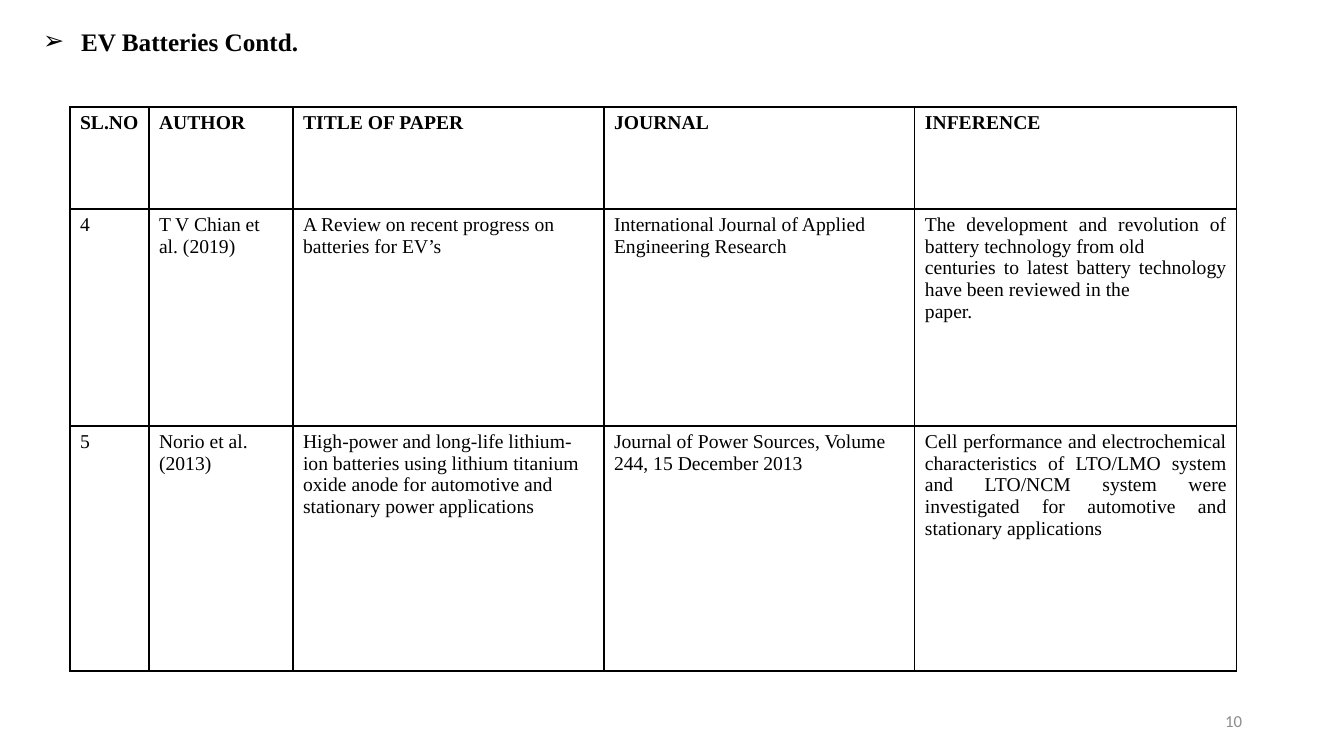
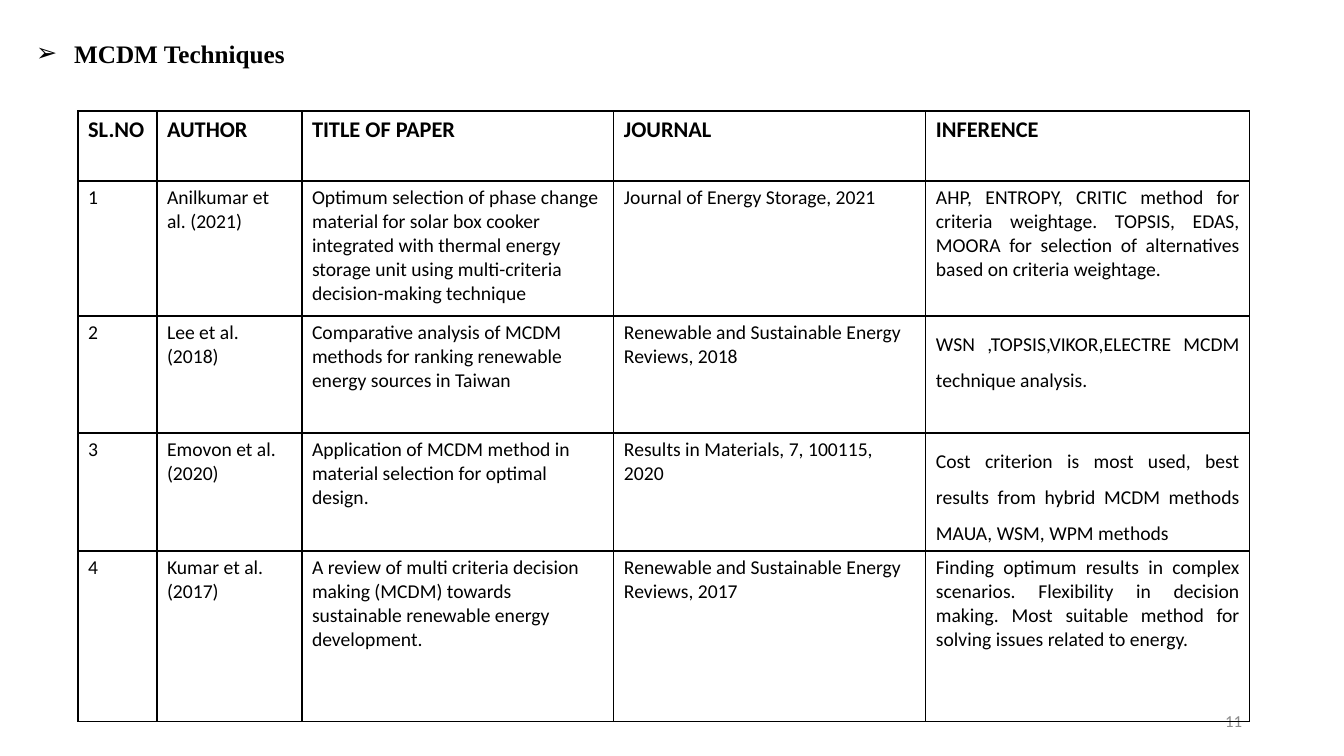
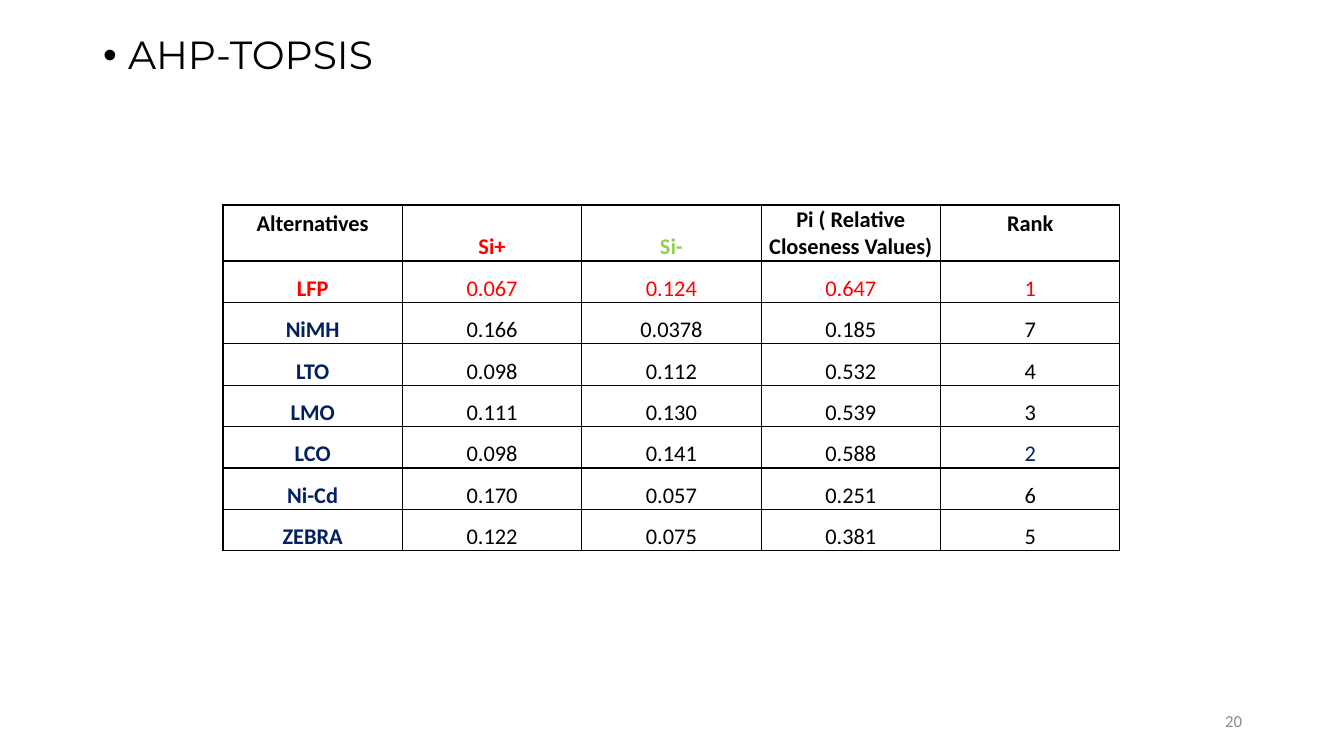
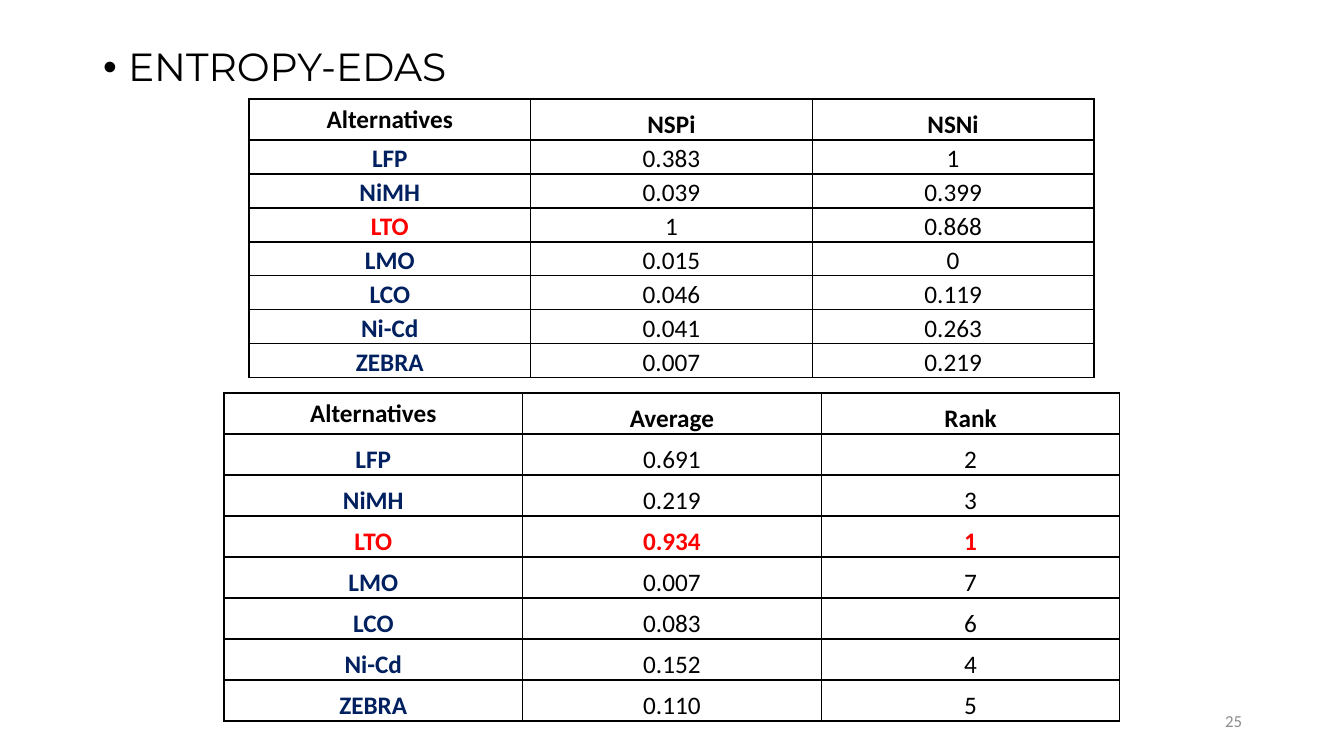
import pptx
import pptx.util
import pptx.dml.color
import pptx.enum.text
import pptx.oxml
import pptx.oxml.ns
import lxml.etree

EMU_PER_PX = 914400 / 100.8
TITLE_ONLY = 5
SERIF, SANS, DISPLAY = "Times New Roman", "Calibri", "Montserrat"
BLACK, GREY, NAVY, RED, GREEN = "000000", "8C8C8C", "002060", "FF0000", "92D050"
ALIGN = pptx.enum.text.PP_ALIGN
ANCHOR = pptx.enum.text.MSO_ANCHOR
PAPER_HEADERS = ["SL.NO", "AUTHOR", "TITLE OF PAPER", "JOURNAL", "INFERENCE"]
BATTERIES = ["LFP", "NiMH", "LTO", "LMO", "LCO", "Ni-Cd", "ZEBRA"]


def emu(px):
    return round(px * EMU_PER_PX)


def rgb(hex_color):
    return pptx.dml.color.RGBColor.from_string(hex_color)


def add_xml(parent, tag, **attributes):
    return lxml.etree.SubElement(parent, pptx.oxml.ns.qn(tag), attributes)


def write_text(frame, text, font=SANS, size=14, color=BLACK, bold=False,
               align=ALIGN.LEFT, spacing=None, bullet=None, indent=0):
    frame.word_wrap = True
    for index, line in enumerate(text.split("\n")):
        paragraph = frame.add_paragraph() if index else frame.paragraphs[0]
        paragraph.alignment = align
        if spacing:
            paragraph.line_spacing = spacing
        run = paragraph.add_run()
        run.text = line
        run.font.name = font
        run.font.size = pptx.util.Pt(size)
        run.font.bold = bold
        run.font.color.rgb = rgb(color)
        if bullet:
            properties = paragraph._p.get_or_add_pPr()
            properties.set("marL", str(emu(indent)))
            properties.set("indent", str(-emu(indent)))
            add_xml(properties, "a:buFont", typeface="Arial")
            add_xml(properties, "a:buChar", char=bullet)


def start_slide(deck, heading, box, number, **style):
    slide = deck.slides.add_slide(deck.slide_layouts[TITLE_ONLY])
    title = slide.shapes.title
    title.left, title.top, title.width, title.height = map(emu, box)
    title.text_frame.auto_size = pptx.enum.text.MSO_AUTO_SIZE.NONE
    title.text_frame.vertical_anchor = ANCHOR.TOP
    write_text(title.text_frame, heading, **style)
    footer = slide.shapes.add_textbox(*map(emu, (950, 701, 302, 40))).text_frame
    footer.vertical_anchor = ANCHOR.MIDDLE
    write_text(footer, number, size=12, color=GREY, align=ALIGN.RIGHT)
    return slide


def start_papers_slide(deck, heading, left, top, number):
    return start_slide(deck, heading, (left, top, 546, 40), number, font=SERIF,
                       size=18, bold=True, bullet="➢", indent=38)


def start_scores_slide(deck, heading, top, number):
    return start_slide(deck, heading, (93, top, 1159, 55), number, font=DISPLAY,
                       size=28, spacing=0.9, bullet="•", indent=25)


def outline_cell(cell):
    properties = cell._tc.get_or_add_tcPr()
    for side in "LRTB":
        line = add_xml(properties, "a:ln" + side, w=str(pptx.util.Pt(1)))
        fill = add_xml(line, "a:solidFill")
        add_xml(fill, "a:srgbClr", val=BLACK)
    cell.fill.background()


def add_grid(slide, left, top, widths, heights):
    frame = slide.shapes.add_table(len(heights), len(widths), emu(left), emu(top),
                                   sum(widths), sum(heights))
    grid = frame.table
    grid.first_row = grid.horz_banding = False
    for column, width in zip(grid.columns, widths):
        column.width = width
    for row, height in zip(grid.rows, heights):
        row.height = height
    for cell in grid.iter_cells():
        outline_cell(cell)
    return grid


def add_papers(slide, left, top, widths, heights, papers, font, header_size, loose_rows=()):
    grid = add_grid(slide, left, top, [emu(w) for w in widths], [emu(h) for h in heights])
    for row, entries in enumerate([PAPER_HEADERS] + papers):
        for column, entry in enumerate(entries):
            is_header = row == 0
            is_inference = column == 4 and not is_header
            write_text(grid.cell(row, column).text_frame, entry, font=font,
                       size=header_size if is_header else 14, bold=is_header,
                       align=ALIGN.JUSTIFY if is_inference else ALIGN.LEFT,
                       spacing=1.5 if is_inference and row in loose_rows else None)


def add_scores(slide, left, top, width, header_height, body_height, headers, scores,
               size, accents, padded_headers=(0,)):
    columns = len(headers) + 1
    body_rows = len(BATTERIES)
    grid = add_grid(slide, left, top, [emu(width) // columns] * columns,
                    [emu(header_height)] + [emu(body_height) // body_rows] * body_rows)
    rows = [["Alternatives"] + headers]
    rows += [[battery] + values for battery, values in zip(BATTERIES, scores)]
    for row, entries in enumerate(rows):
        for column, entry in enumerate(entries):
            cell = grid.cell(row, column)
            if row or column not in padded_headers:
                cell.vertical_anchor = ANCHOR.BOTTOM
                cell.margin_left = cell.margin_right = cell.margin_top = emu(1)
                cell.margin_bottom = 0
            style = {"bold": row == 0 or column == 0,
                     "color": NAVY if row and column == 0 else BLACK}
            style.update(accents.get((row, column), {}))
            write_text(cell.text_frame, entry, size=size, align=ALIGN.CENTER, **style)


def build_ev_batteries(deck):
    slide = start_papers_slide(deck, "EV Batteries Contd.", 33, 21, "10")
    papers = [
        ["4", "T V Chian et al. (2019)",
         "A Review on recent progress on batteries for EV’s",
         "International Journal of Applied Engineering Research",
         "The development and revolution of battery technology from old\n"
         "centuries to latest battery technology have been reviewed in the\n"
         "paper."],
        ["5", "Norio et al. (2013)",
         "High-power and long-life lithium-ion batteries using lithium titanium oxide "
         "anode for automotive and stationary power applications",
         "Journal of Power Sources, Volume 244, 15 December 2013",
         "Cell performance and electrochemical characteristics of LTO/LMO system and "
         "LTO/NCM system were investigated for automotive and stationary applications"],
    ]
    add_papers(slide, 70, 107, [79, 144, 311, 311, 322], [102, 217, 245], papers,
               font=SERIF, header_size=14)


def build_mcdm_techniques(deck):
    slide = start_papers_slide(deck, "MCDM Techniques", 26, 33, "11")
    papers = [
        ["1", "Anilkumar et al. (2021)",
         "Optimum selection of phase change material for solar box cooker integrated with "
         "thermal energy storage unit using multi-criteria decision-making technique",
         "Journal of Energy Storage, 2021",
         "AHP, ENTROPY, CRITIC method for criteria weightage. TOPSIS, EDAS, MOORA for "
         "selection of alternatives based on criteria weightage."],
        ["2", "Lee et al. (2018)",
         "Comparative analysis of MCDM methods for ranking renewable energy sources in Taiwan",
         "Renewable and Sustainable Energy Reviews, 2018",
         "WSN ,TOPSIS,VIKOR,ELECTRE MCDM technique analysis."],
        ["3", "Emovon et al. (2020)",
         "Application of MCDM method in material selection for optimal design.",
         "Results in Materials, 7, 100115, 2020",
         "Cost criterion is most used, best results from hybrid MCDM methods MAUA, WSM, "
         "WPM methods"],
        ["4", "Kumar et al. (2017)",
         "A review of multi criteria decision making (MCDM) towards sustainable renewable "
         "energy development.",
         "Renewable and Sustainable Energy Reviews, 2017",
         "Finding optimum results in complex scenarios. Flexibility in decision making. "
         "Most suitable method for solving issues related to energy."],
    ]
    add_papers(slide, 78, 111, [79, 145, 312, 312, 324], [70, 135, 117, 118, 171], papers,
               font=SANS, header_size=16, loose_rows=(2, 3))


def build_ahp_topsis(deck):
    slide = start_scores_slide(deck, "AHP-TOPSIS", 31, "20")
    scores = [
        ["0.067", "0.124", "0.647", "1"],
        ["0.166", "0.0378", "0.185", "7"],
        ["0.098", "0.112", "0.532", "4"],
        ["0.111", "0.130", "0.539", "3"],
        ["0.098", "0.141", "0.588", "2"],
        ["0.170", "0.057", "0.251", "6"],
        ["0.122", "0.075", "0.381", "5"],
    ]
    accents = {(1, column): {"color": RED} for column in range(5)}
    accents.update({(0, 1): {"color": RED}, (0, 2): {"color": GREEN}, (5, 4): {"color": NAVY}})
    add_scores(slide, 223, 205, 897, 56, 290,
               ["Si+", "Si-", "Pi ( Relative Closeness Values)", "Rank"], scores,
               size=16, accents=accents, padded_headers=(0, 4))


def build_entropy_edas(deck):
    slide = start_scores_slide(deck, "ENTROPY-EDAS", 43, "25")
    averages = [["0.691", "2"], ["0.219", "3"], ["0.934", "1"], ["0.007", "7"],
                ["0.083", "6"], ["0.152", "4"], ["0.110", "5"]]
    distances = [["0.383", "1"], ["0.039", "0.399"], ["1", "0.868"], ["0.015", "0"],
                 ["0.046", "0.119"], ["0.041", "0.263"], ["0.007", "0.219"]]
    best_row = {(3, column): {"color": RED, "bold": True} for column in range(3)}
    add_scores(slide, 224, 393, 896, 41, 287, ["Average", "Rank"], averages,
               size=18, accents=best_row)
    add_scores(slide, 249, 99, 845, 41, 238, ["NSPi", "NSNi"], distances,
               size=18, accents={(3, 0): {"color": RED}})


def main():
    deck = pptx.Presentation()
    deck.slide_width, deck.slide_height = emu(1344), emu(756)
    for build in (build_ev_batteries, build_mcdm_techniques, build_ahp_topsis,
                  build_entropy_edas):
        build(deck)
    deck.save("out.pptx")


if __name__ == "__main__":
    main()
